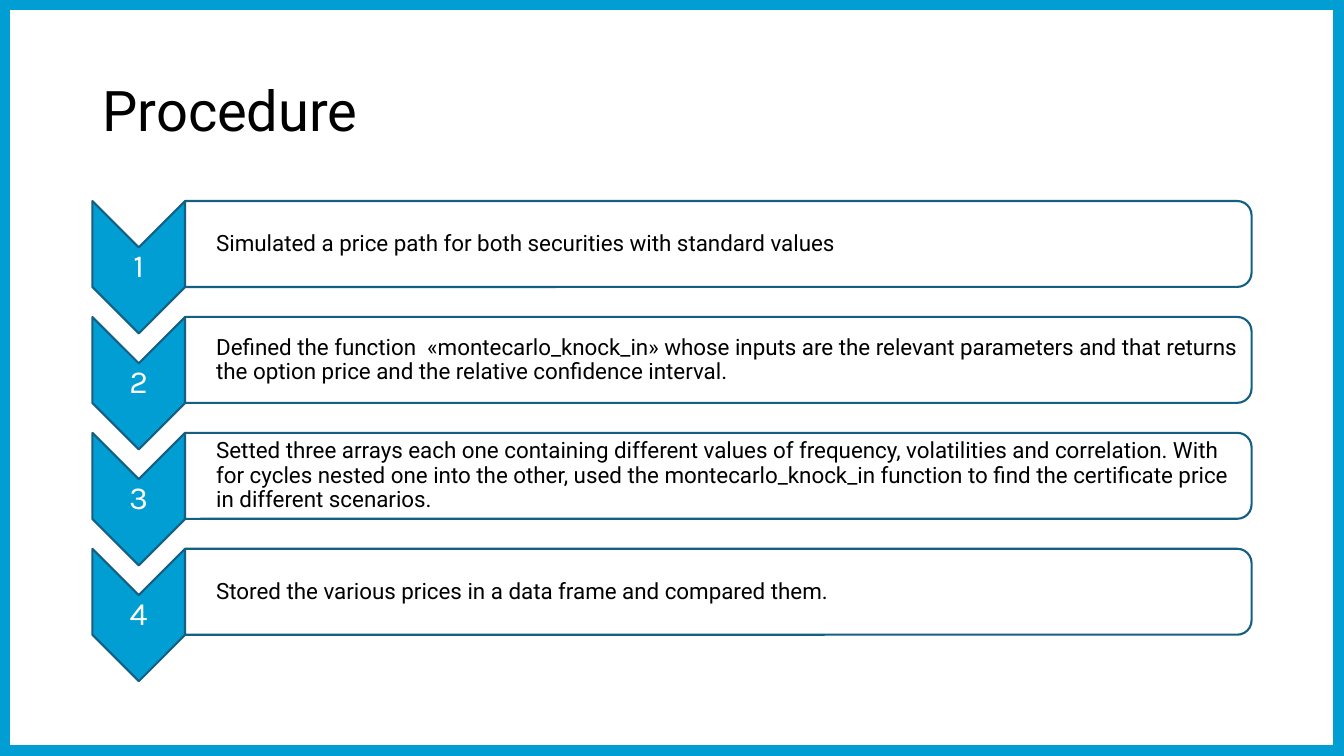
from pptx import Presentation
from pptx.dml.color import RGBColor
from pptx.enum.shapes import MSO_SHAPE
from pptx.enum.text import MSO_ANCHOR, PP_ALIGN
from pptx.oxml.ns import qn
from pptx.util import Pt
from lxml import etree

CHEVRON = MSO_SHAPE.CHEVRON
BAR = MSO_SHAPE.ROUND_2_SAME_RECTANGLE
RECTANGLE = MSO_SHAPE.RECTANGLE
MIDDLE = MSO_ANCHOR.MIDDLE
LEFT, CENTER = PP_ALIGN.LEFT, PP_ALIGN.CENTER

BLUE = RGBColor(0x00, 0x9E, 0xD3)
OUTLINE = RGBColor(0x15, 0x60, 0x82)
WHITE = RGBColor(0xFF, 0xFF, 0xFF)
BLACK = RGBColor(0x00, 0x00, 0x00)

STEPS = [
    "Simulated a price path for both securities with standard values",
    "Defined the function  «montecarlo_knock_in» whose inputs are the relevant "
    "parameters and that returns the option price and the relative confidence interval.",
    "Setted three arrays each one containing different values of frequency, "
    "volatilities and correlation. With for cycles nested one into the other, used the "
    "montecarlo_knock_in function to find the certificate price in different scenarios.",
    "Stored the various prices in a data frame and compared them.",
]
FIRST_TOP, STEP_PITCH = 143.6, 82.8
CHEVRON_LEFT, CHEVRON_WIDTH, CHEVRON_HEIGHT = 66, 66.2, 94.6
BAR_LEFT, BAR_WIDTH, BAR_HEIGHT = 132.2, 761.8, 61.4

deck = Presentation()
deck.slide_width, deck.slide_height = Pt(960), Pt(540)
page = deck.slides.add_slide(deck.slide_layouts[5])


def add_turned(kind, left, top, width, height, color):
    """Add a shape turned by 90 degrees that covers the given area."""
    shift = (width - height) / 2
    shape = page.shapes.add_shape(
        kind, Pt(left + shift), Pt(top - shift), Pt(height), Pt(width))
    shape.rotation = 90
    shape.shadow.inherit = False
    shape.fill.solid()
    shape.fill.fore_color.rgb = color
    shape.line.color.rgb = OUTLINE
    shape.line.width = Pt(1.5)
    return shape


def write(box, text, font, size, color, align, space_after=0):
    frame = box.text_frame
    frame.word_wrap = True
    frame.vertical_anchor = MIDDLE
    para = frame.paragraphs[0]
    para.text = text
    para.alignment = align
    para.line_spacing = 0.9
    para.space_after = Pt(space_after)
    para.font.name = font
    para.font.size = Pt(size)
    para.font.color.rgb = color
    return frame


# Title
title = page.shapes.title
title.left, title.top, title.width, title.height = Pt(66), Pt(28.8), Pt(828), Pt(104.4)
write(title, "Procedure", "Roboto", 40, BLACK, LEFT)

# Numbered steps
for index, step in enumerate(STEPS):
    top = FIRST_TOP + index * STEP_PITCH

    # Chevron and its number
    add_turned(CHEVRON, CHEVRON_LEFT, top, CHEVRON_WIDTH, CHEVRON_HEIGHT, BLUE)
    number_box = page.shapes.add_textbox(
        Pt(CHEVRON_LEFT), Pt(top + CHEVRON_WIDTH / 2), Pt(CHEVRON_WIDTH),
        Pt(CHEVRON_HEIGHT - CHEVRON_WIDTH))
    frame = write(number_box, str(index + 1), "Karla", 23, WHITE, CENTER, 8)
    frame.margin_left = frame.margin_right = Pt(1.2)
    frame.margin_top = frame.margin_bottom = Pt(1.2)

    # Bar, slightly transparent, and its text
    bar = add_turned(BAR, BAR_LEFT, top, BAR_WIDTH, BAR_HEIGHT, WHITE)
    bar_color = bar.fill._xPr.find(qn("a:solidFill"))[0]
    etree.SubElement(bar_color, qn("a:alpha")).set("val", "90000")
    step_box = page.shapes.add_textbox(
        Pt(BAR_LEFT), Pt(top + 3), Pt(BAR_WIDTH - 3), Pt(BAR_HEIGHT - 6))
    frame = write(step_box, step, "Roboto", 16, BLACK, LEFT, 2.4)
    frame.margin_left = Pt(22.2)
    frame.margin_right = frame.margin_top = frame.margin_bottom = Pt(0.8)

# Frame around the page
border = page.shapes.add_shape(RECTANGLE, 0, 0, deck.slide_width, deck.slide_height)
border.shadow.inherit = False
border.fill.background()
border.line.color.rgb = BLUE
border.line.width = Pt(15)

deck.save("out.pptx")
